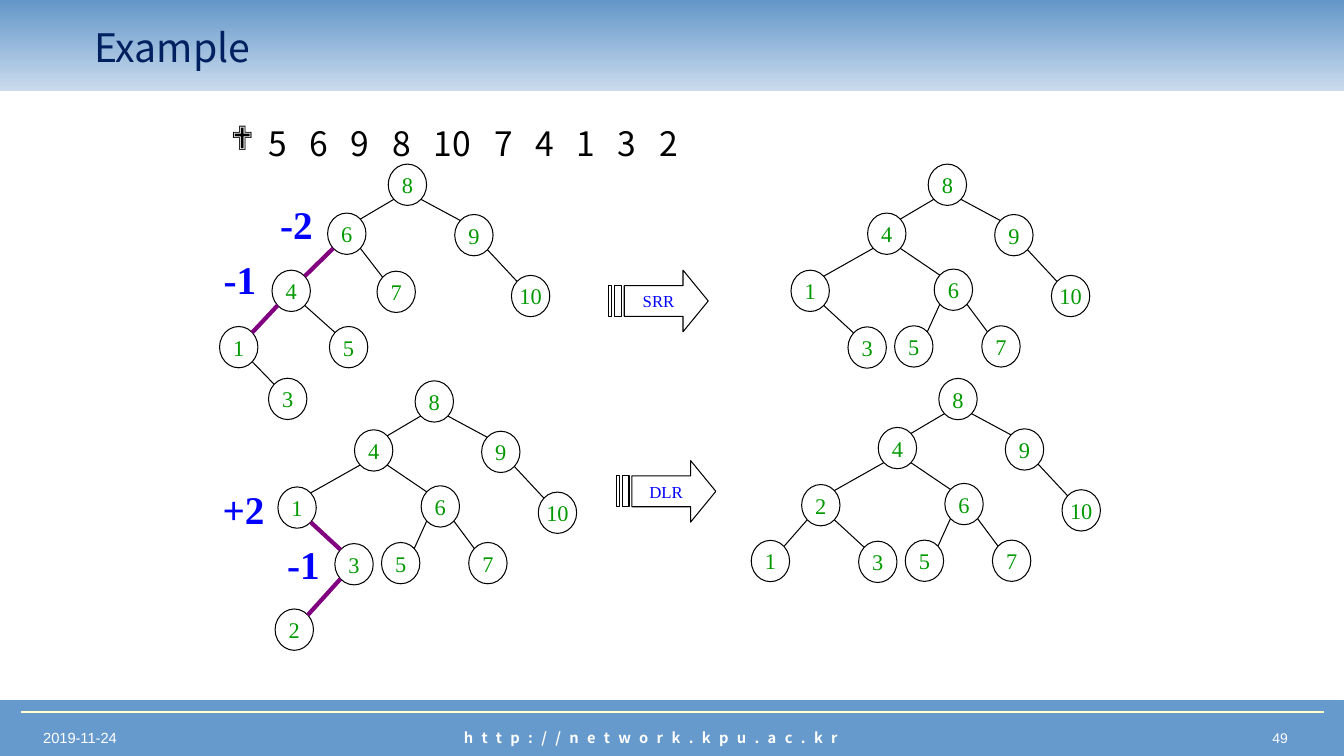
import pptx
import pptx.util
import pptx.dml.color
import pptx.enum.shapes
import pptx.enum.text
import pptx.oxml.ns
from lxml import etree

Pt = pptx.util.Pt
ALIGN = pptx.enum.text.PP_ALIGN
ANCHOR = pptx.enum.text.MSO_ANCHOR
SHAPE = pptx.enum.shapes.MSO_SHAPE
qn = pptx.oxml.ns.qn

COLORS = {
    "white": "FFFFFF", "black": "000000", "bar": "6699CC",
    "header_top": "6497C9", "header_bottom": "C9DBED", "rule": "FFFFCC",
    "title": "002060", "key": "009900", "accent": "0000FF", "heavy": "800080",
}
SANS, SERIF = "Noto Sans CJK KR", "Times New Roman"
NODE_W, NODE_H = 27.4, 29.5
CORNER = 0.146  # inset of an ellipse's diagonal points, as a share of its size

# Node offsets from the root; a key spells the left/right path to the node.
BALANCED = {
    "": (0, 0), "L": (-43.3, 35), "R": (47.5, 36), "RR": (88, 79.5),
    "LL": (-98, 75.8), "LR": (4.3, 75), "LLL": (-134, 115.7),
    "LLR": (-57.3, 116.3), "LRL": (-24, 115.5), "LRR": (38.3, 115.5),
    "LLRL": (-100, 163),
}
LEFT_HEAVY = {
    **BALANCED, "LL": (-83, 75.8), "LR": (-8, 76.5), "LLL": (-120.5, 116),
    "LLR": (-42, 116), "LLLR": (-85.5, 153),
}


def rgb(name):
    return pptx.dml.color.RGBColor.from_string(COLORS[name])


def write(sp, text, size, color, font=SERIF, bold=False, align=ALIGN.LEFT,
          anchor=ANCHOR.MIDDLE, wrap=True, spacing=None):
    tf = sp.text_frame
    tf.word_wrap, tf.vertical_anchor = wrap, anchor
    p = tf.paragraphs[0]
    p.alignment = align
    r = p.add_run()
    r.text = text
    r.font.size, r.font.name, r.font.bold = Pt(size), font, bold
    r.font.color.rgb = rgb(color)
    if spacing:
        r.font._element.set("spc", str(spacing * 100))
    return p


def add_text(shapes, box, text, size, color, **fmt):
    return write(shapes.add_textbox(*map(Pt, box)), text, size, color, **fmt)


def add_line(shapes, start, end, color="black", width=0.75):
    line = shapes.add_connector(pptx.enum.shapes.MSO_CONNECTOR.STRAIGHT,
                                *map(Pt, (*start, *end)))
    line.line.color.rgb, line.line.width = rgb(color), Pt(width)
    etree.SubElement(line._element.spPr, qn("a:effectLst"))


def add_header(slide, box, text):
    x, y, w, h = box
    band = slide.shapes.add_shape(SHAPE.RECTANGLE, *map(Pt, box))
    band.shadow.inherit = False
    band.line.fill.background()
    band.fill.gradient()
    band.fill.gradient_angle = 90
    for stop, color in zip(band.fill.gradient_stops, ("header_bottom", "header_top")):
        stop.color.rgb = rgb(color)
    title = slide.shapes.title
    title.left, title.top, title.width, title.height = map(
        Pt, (x + 60, y + 11.5, 810, 44.6))
    write(title, text, 28, "title", font=SANS)
    title.element.getparent().append(title.element)  # in front of the band


def add_footer(slide, box):
    x, y, w, h = box
    bar = slide.shapes.add_shape(SHAPE.RECTANGLE, *map(Pt, box))
    bar.shadow.inherit = False
    bar.fill.solid()
    bar.fill.fore_color.rgb = bar.line.color.rgb = rgb("bar")
    add_line(slide.shapes, (x + 15, y + 8), (x + w - 14.5, y + 8), "rule", 1.5)
    top, height = y + 16.7, 20
    add_text(slide.shapes, (x + 23.8, top, 257, height), "2019-11-24", 10.5,
             "white", font="Arial")
    add_text(slide.shapes, (x + 217.4, top, 495.4, height), "http://network.kpu.ac.kr",
             10.5, "white", font=SANS, bold=True, align=ALIGN.CENTER, spacing=6)
    add_text(slide.shapes, (x + 710, top, 217, height), "49", 10, "white",
             font="Arial", align=ALIGN.RIGHT)


def add_key_list(slide, box, keys):
    """Bulleted row of keys, separated by tab stops."""
    p = add_text(slide.shapes, box, "\t".join(keys), 24, "black", font=SANS,
                 anchor=ANCHOR.TOP)
    indent, pitch, digit = 27, 29.45, 13.9
    pPr = p._p.get_or_add_pPr()
    pPr.set("marL", str(Pt(indent)))
    pPr.set("indent", str(-Pt(indent)))
    etree.SubElement(pPr, qn("a:buFont"), typeface="Wingdings")
    etree.SubElement(pPr, qn("a:buChar"), char="❖")
    tabs = etree.SubElement(pPr, qn("a:tabLst"))
    stop = indent
    for key in keys[:-1]:
        stop += pitch + digit * (len(key) - 1)
        etree.SubElement(tabs, qn("a:tab"), pos=str(Pt(stop)), algn="l")


def add_rotation_arrow(slide, x, y, text):
    """Right arrow with two stripes behind its tail."""
    top, bottom, tail, neck, tip, height = 11, 33, 11, 52.8, 70.6, 43.8
    outline = [(neck, 0), (neck, top), (tail, top), (tail, bottom), (neck, bottom),
               (neck, height), (tip, height / 2)]
    stripes = [[(a, top), (a, bottom), (b, bottom), (b, top)]
               for a, b in ((4.5, 8.8), (0, 2.4))]
    fb = slide.shapes.build_freeform(*outline[0], scale=Pt(1))
    fb.add_line_segments(outline[1:])
    for stripe in stripes:
        fb.move_to(*stripe[0])
        fb.add_line_segments(stripe[1:])
    sp = fb.convert_to_shape(Pt(x), Pt(y))
    sp.shadow.inherit = False
    sp.fill.solid()
    sp.fill.fore_color.rgb = rgb("white")
    sp.line.color.rgb, sp.line.width = rgb("black"), Pt(0.75)
    write(sp, text, 12, "accent", align=ALIGN.CENTER)


def add_tree(slide, x, y, keys, layout=BALANCED, heavy=(), factors=()):
    """Tree with its root at x, y; heavy lists paths whose upper edge is thick."""
    shapes = slide.shapes.add_group_shape().shapes
    dx, dy = NODE_W * CORNER, NODE_H * CORNER
    for path, key in keys.items():
        left, top = x + layout[path][0], y + layout[path][1]
        node = shapes.add_shape(SHAPE.OVAL, *map(Pt, (left, top, NODE_W, NODE_H)))
        node.shadow.inherit = False
        node.fill.background()
        node.line.color.rgb, node.line.width = rgb("black"), Pt(0.75)
        write(node, key, 16, "key", align=ALIGN.CENTER, wrap=False)
        if path:
            px, py = layout[path[:-1]]
            near, far = dx, NODE_W - dx
            out, into = (near, far) if path[-1] == "L" else (far, near)
            style = ("heavy", 3) if path in heavy else ()
            add_line(shapes, (x + px + out, y + py + NODE_H - dy),
                     (left + into, top + dy), *style)
    for text, fx, fy in factors:
        add_text(shapes, (x + fx, y + fy, 38 if text[0] == "-" else 44.6, 41), text,
                 28, "accent", bold=True, wrap=False)


def main():
    prs = pptx.Presentation()
    prs.slide_width, prs.slide_height = Pt(960), Pt(540)
    slide = prs.slides.add_slide(prs.slide_layouts[5])
    add_footer(slide, (0, 500.4, 960, 39.6))
    add_header(slide, (0, 0, 960, 65), "Example")
    add_key_list(slide, (157.7, 84.2, 656.6, 59.8), "5 6 9 8 10 7 4 1 3 2".split())

    upper = {"": "8", "R": "9", "RR": "10"}
    single = {**upper, "L": "4", "LL": "1", "LR": "6", "LLR": "3", "LRL": "5",
              "LRR": "7"}
    add_tree(slide, 277.3, 117.2,
             {**upper, "L": "6", "LL": "4", "LR": "7", "LLL": "1", "LLR": "5",
              "LLLR": "3"},
             LEFT_HEAVY, ("LL", "LLL"), [("-2", -84.3, 22.5), ("-1", -124.6, 61.4)])
    add_rotation_arrow(slide, 434.9, 193, "SRR")
    add_tree(slide, 663, 117.2, single)
    add_tree(slide, 296.5, 272, {**single, "LLRL": "2"}, heavy=("LLR", "LLRL"),
             factors=[("+2", -144.6, 70.7), ("-1", -98.5, 110.3)])
    add_rotation_arrow(slide, 440.3, 329, "DLR")
    add_tree(slide, 670.6, 270.3, {**single, "LL": "2", "LLL": "1"})
    prs.save("out.pptx")


if __name__ == "__main__":
    main()
